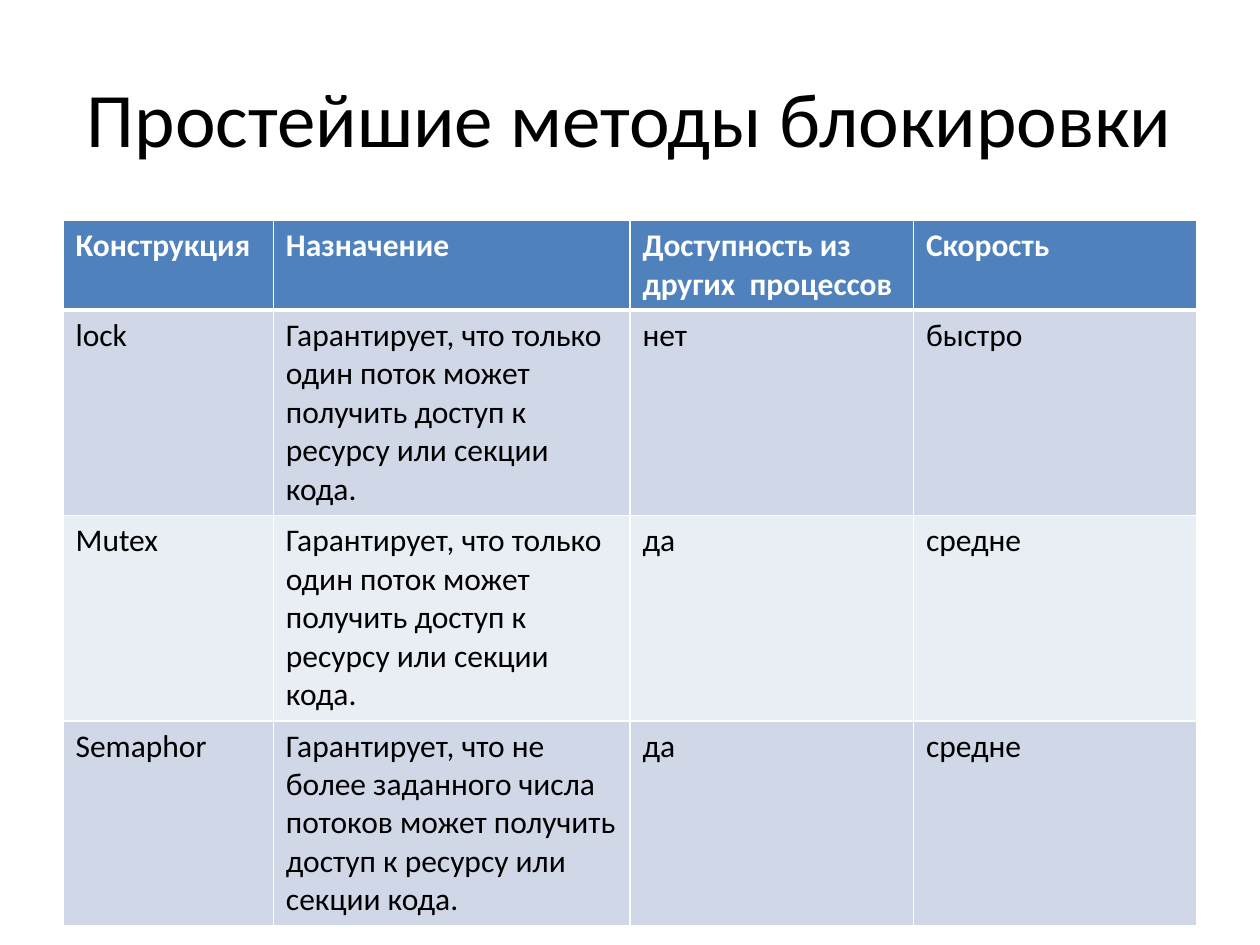
from dataclasses import dataclass, astuple

import pptx
import pptx.dml.color
import pptx.enum.text
import pptx.oxml
import pptx.oxml.ns
import pptx.util
from pptx.util import Inches

FONT = "Calibri"
WHITE, BLACK = "FFFFFF", "000000"
HEADER_FILL = "4F81BD"
BAND_FILLS = ("D0D8E8", "E9EDF4")
COLUMN_WIDTHS = (1.67, 2.83, 2.25, 2.25)
HEADER_HEIGHT, ROW_HEIGHT = 0.7, 1.63


@dataclass
class Construct:
    """One table row: a locking construct and its properties."""
    name: str
    purpose: str
    cross_process: str
    speed: str


HEADER = Construct("Конструкция", "Назначение",
                   "Доступность из других  процессов", "Скорость")
EXCLUSIVE = ("Гарантирует, что только один поток может получить "
             "доступ к ресурсу или секции кода.")
LIMITED = ("Гарантирует, что не более заданного числа потоков может получить "
           "доступ к ресурсу или секции кода.")
CONSTRUCTS = [
    Construct("lock", EXCLUSIVE, "нет", "быстро"),
    Construct("Mutex", EXCLUSIVE, "да", "средне"),
    Construct("Semaphor", LIMITED, "да", "средне"),
]


def rgb(color: str) -> pptx.dml.color.RGBColor:
    """Turn a hex string into a colour."""
    return pptx.dml.color.RGBColor.from_string(color)


def format_text(tf, size: float, color: str, bold: bool = False) -> None:
    """Format every run of a text frame."""
    for p in tf.paragraphs:
        for r in p.runs:
            r.font.name = FONT
            r.font.size = pptx.util.Pt(size)
            r.font.bold = bold
            r.font.color.rgb = rgb(color)


def set_borders(cell, top: float, bottom: float) -> None:
    """Draw white cell borders, one point wide at the sides."""
    tc_pr = cell._tc.get_or_add_tcPr()
    for side, width in (("L", 1), ("R", 1), ("T", top), ("B", bottom)):
        tc_pr.append(pptx.oxml.parse_xml(
            f'<a:ln{side} {pptx.oxml.ns.nsdecls("a")} w="{pptx.util.Pt(width)}">'
            f'<a:solidFill><a:srgbClr val="{WHITE}"/></a:solidFill></a:ln{side}>'))


def add_title(s, text: str) -> None:
    """Fill and place the title placeholder."""
    sp = s.shapes.title
    sp.left, sp.top = Inches(0.5), Inches(0.3)
    sp.width, sp.height = Inches(9), Inches(1.25)
    tf = sp.text_frame
    tf.text = text
    tf.vertical_anchor = pptx.enum.text.MSO_ANCHOR.MIDDLE
    tf.paragraphs[0].alignment = pptx.enum.text.PP_ALIGN.CENTER
    format_text(tf, 44, BLACK)


def add_construct_table(s, constructs: list[Construct]) -> None:
    """Add the header row and one banded row per construct."""
    rows = [HEADER, *constructs]
    height = HEADER_HEIGHT + ROW_HEIGHT * len(constructs)
    table = s.shapes.add_table(len(rows), len(COLUMN_WIDTHS), Inches(0.5), Inches(1.75),
                               Inches(sum(COLUMN_WIDTHS)), Inches(height)).table
    for column, width in zip(table.columns, COLUMN_WIDTHS):
        column.width = Inches(width)
    for i, row in enumerate(rows):
        is_header = i == 0
        table.rows[i].height = Inches(HEADER_HEIGHT if is_header else ROW_HEIGHT)
        fill = HEADER_FILL if is_header else BAND_FILLS[(i - 1) % 2]
        for j, text in enumerate(astuple(row)):
            cell = table.cell(i, j)
            cell.text_frame.text = text
            format_text(cell.text_frame, 18, WHITE if is_header else BLACK, is_header)
            set_borders(cell, top=3 if i == 1 else 1, bottom=3 if is_header else 1)
            cell.fill.solid()
            cell.fill.fore_color.rgb = rgb(fill)


def main() -> None:
    """Build and save the slide."""
    prs = pptx.Presentation()
    prs.slide_width, prs.slide_height = Inches(10), Inches(7.5)
    s = prs.slides.add_slide(prs.slide_layouts.get_by_name("Title Only"))
    add_title(s, "Простейшие методы блокировки")
    add_construct_table(s, CONSTRUCTS)
    prs.save("out.pptx")


main()
